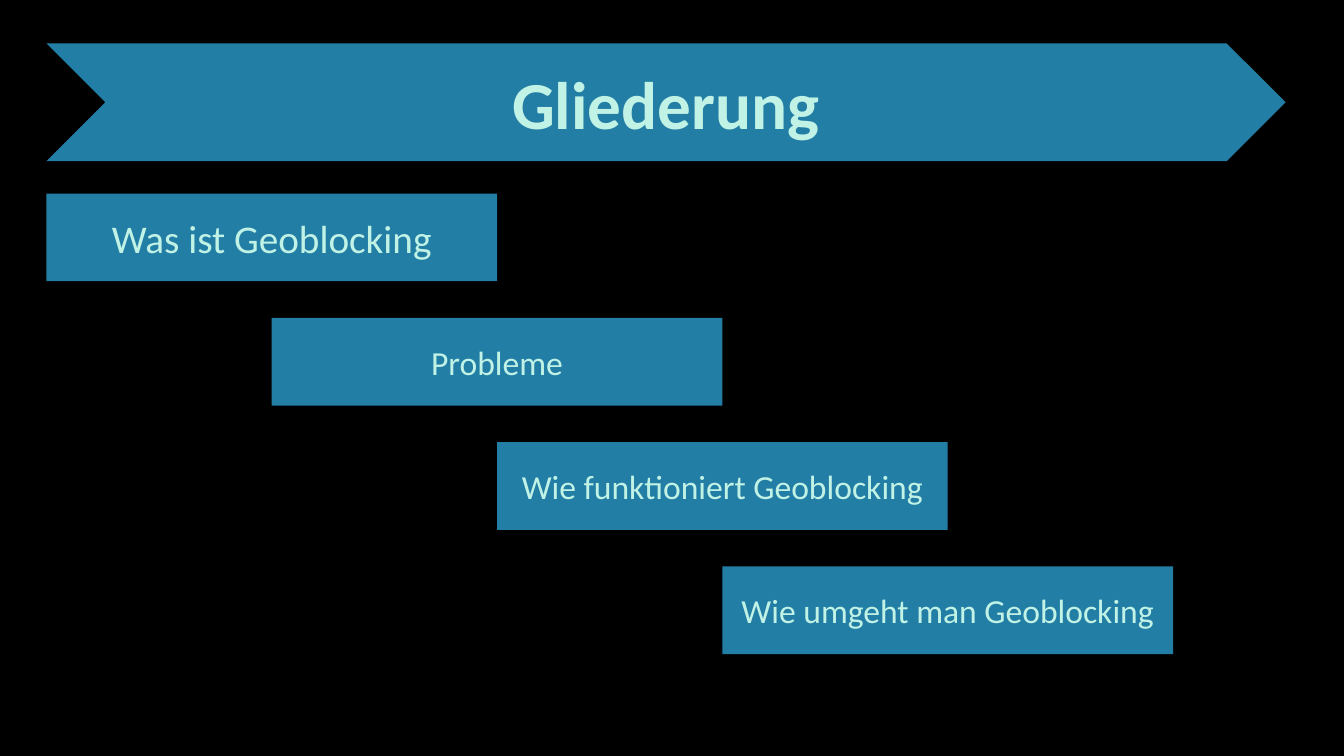
from pptx import Presentation
from pptx.dml.color import RGBColor
from pptx.enum.shapes import MSO_SHAPE
from pptx.enum.text import MSO_ANCHOR, PP_ALIGN
from pptx.util import Inches, Pt

CHEVRON = MSO_SHAPE.CHEVRON
MIDDLE = MSO_ANCHOR.MIDDLE
CENTER = PP_ALIGN.CENTER


def rgb(value):
    return RGBColor.from_string(value)


def add_banner(slide, box, text, notch, size, bold=False):
    s = slide.shapes.add_shape(CHEVRON, *(Inches(v) for v in box))
    s.adjustments[0] = notch
    s.shadow.inherit = False
    s.fill.solid()
    s.fill.fore_color.rgb = rgb("227EA5")
    s.line.fill.background()
    tf = s.text_frame
    tf.word_wrap = True
    tf.vertical_anchor = MIDDLE
    p = tf.paragraphs[0]
    p.alignment = CENTER
    r = p.add_run()
    r.text = text
    for name, value in {"name": "Calibri", "size": Pt(size), "bold": bold}.items():
        setattr(r.font, name, value)
    r.font.color.rgb = rgb("C1F2E6")


prs = Presentation()
prs.slide_width, prs.slide_height = Inches(13.33), Inches(7.5)
slide = prs.slides.add_slide(prs.slide_layouts[6])

# Black background
slide.background.fill.solid()
slide.background.fill.fore_color.rgb = rgb("000000")

# Title arrow
left = 0.46
add_banner(slide, (left, 0.43, 12.29, 1.17), "Gliederung", 0.5, 48, True)

# Staircase of topics: each step moves half a box to the right
topics = [
    ("Was ist Geoblocking", 28),
    ("Probleme", 24),
    ("Wie funktioniert Geoblocking", 24),
    ("Wie umgeht man Geoblocking", 24),
]
width, height = 4.47, 0.87
first_top, last_top = 1.92, 5.62
step = (last_top - first_top) / (len(topics) - 1)
for i, (topic, size) in enumerate(topics):
    box = (left + i * width / 2, first_top + i * step, width, height)
    add_banner(slide, box, topic, 0, size)

prs.save("out.pptx")
